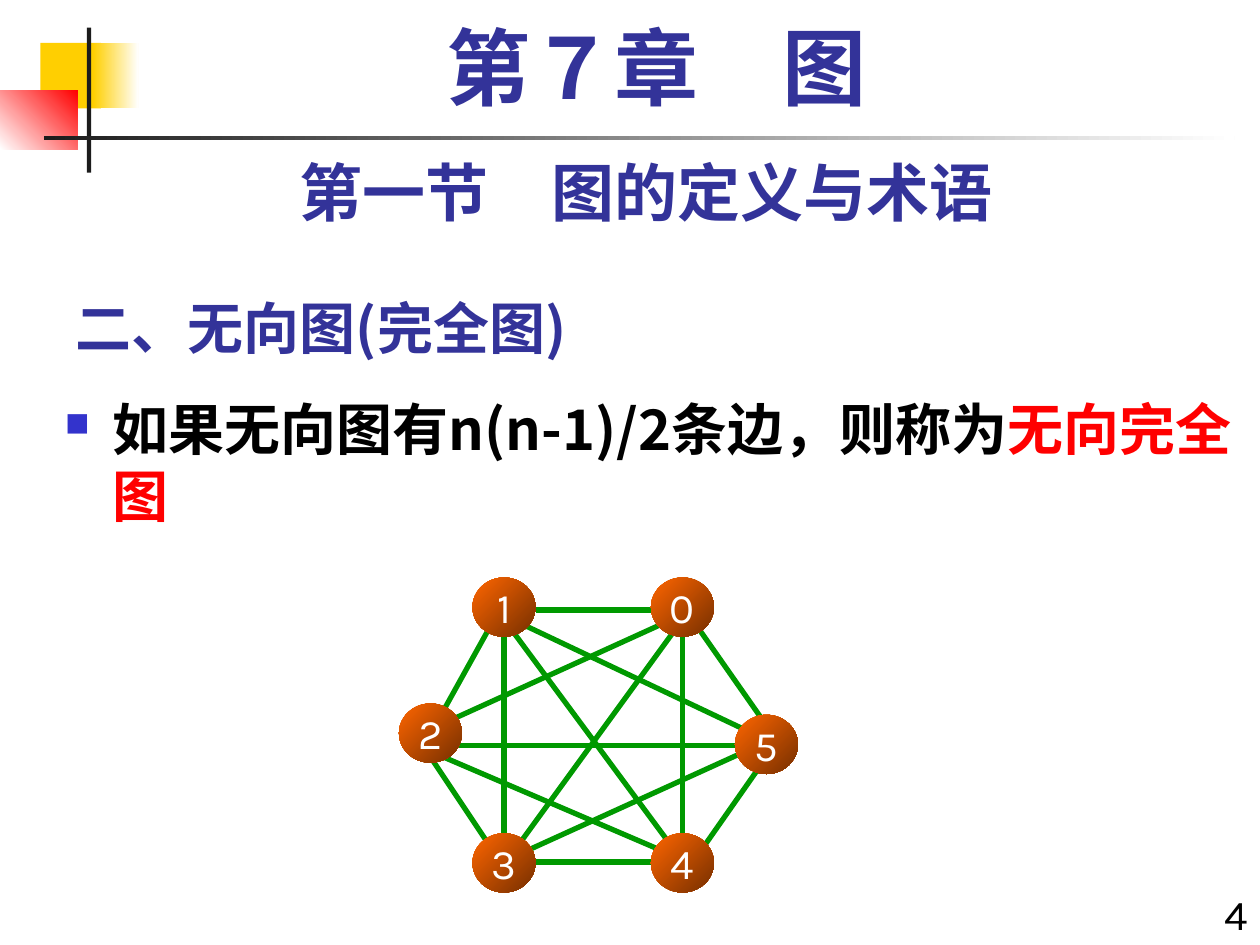
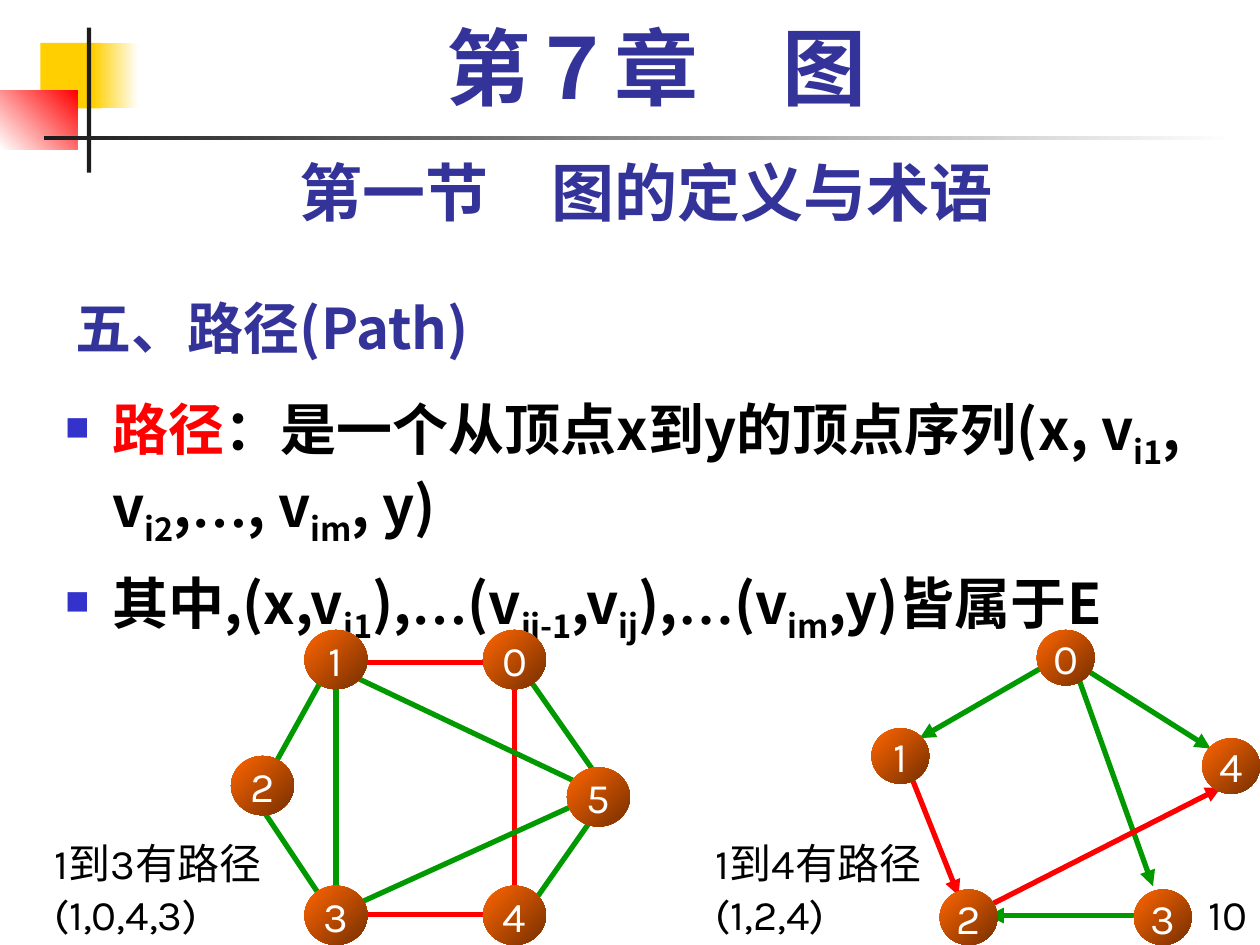
from dataclasses import dataclass

from lxml import etree
from pptx import Presentation
from pptx import util as u
from pptx.dml.color import RGBColor
from pptx.enum import shapes, text
from pptx.oxml import ns


@dataclass(frozen=True)
class Theme:
    """Colours, fonts and type sizes of the deck."""
    navy: str = "333399"
    bullet: str = "3333CC"
    ink: str = "000000"
    white: str = "FFFFFF"
    dark: str = "1C1C1C"
    yellow: str = "FFCF01"
    red: str = "FF0000"
    green: str = "009900"
    orange: str = "FF6600"
    brown: str = "762F00"
    cjk: str = "Noto Sans CJK SC"
    plain: str = "Karla"
    serif: str = "Times New Roman"
    chapter_size: int = 48
    section_size: int = 36
    body_size: int = 32
    small_size: int = 24
    edge_width: int = 3


@dataclass(frozen=True)
class Box:
    """A rectangle counted in grid cells."""
    left: float
    top: float
    width: float
    height: float

    def inner(self, left, top, width, height):
        """Return a box placed relative to this one."""
        return Box(self.left + left, self.top + top, width, height)

    def point(self, x, y):
        """Return a point of this box as slide lengths."""
        return cells(self.left + x), cells(self.top + y)

    def frame(self):
        """Return left, top, width and height as slide lengths."""
        return tuple(map(cells, (self.left, self.top, self.width, self.height)))


THEME = Theme()
COLUMNS, ROWS = 120, 90
WIDTH, HEIGHT = u.Inches(10), u.Inches(7.5)
SLIDE = Box(0, 0, COLUMNS, ROWS)

HEXAGON_SIZE = (38, 30)
HEXAGON_NODE = (6, 5.64)
HEXAGON_NODES = {"1": (7, 0), "3": (7, 24.36), "2": (0, 12),
                 "5": (32, 13.08), "4": (24, 24.36), "0": (24, 0)}
HEXAGON_EDGES = {
    "01": (25, 3.1, 13, 3.1), "04": (27, 5.1, 27, 25.1), "05": (28, 4.1, 35, 14.1),
    "12": (9, 4.1, 4, 13.1), "31": (10, 26.1, 10, 5.1), "51": (34, 15, 11, 4.1),
    "32": (9, 26.1, 3, 17.1), "43": (26, 27.1, 11, 27.1), "53": (34, 16.1, 12, 26.1),
    "54": (35, 17.1, 28, 27.1), "41": (27, 27, 10, 4), "30": (11, 26, 27, 4),
    "02": (26, 4, 4, 14), "52": (34, 16, 4, 16), "42": (25, 26, 4, 17),
}
SPARSE_EDGES = {pair: HEXAGON_EDGES[pair] for pair in
                ("01", "04", "05", "12", "31", "51", "32", "43", "53", "54")}

DIGRAPH_NODE = (5.5, 5.28)
DIGRAPH_NODES = {"1": (0, 9.36), "3": (25, 24.72), "2": (6.5, 24.72),
                 "4": (31.5, 10.32), "0": (15.75, 0)}
DIGRAPH_EDGES = {
    "04": (20.3, 3.7, 32.3, 11.3), "12": (3.8, 14, 8.3, 25.3),
    "01": (17.6, 2.8, 4.6, 10.3), "03": (19.4, 3.7, 26.8, 24.4),
    "32": (25, 27.2, 11.1, 27.2), "24": (11.1, 26.3, 33.3, 15),
}

COMPLETE_GRAPH_TEXT = [
    [("如果无向图有n(n-1)/2条边，则称为", ""), ("无向完全图", "key")],
]
PATH_TEXT = [
    [("路径", "key"), ("：是一个从顶点x到y的顶点序列(x, v", ""), ("i1", "sub"),
     (", v", ""), ("i2", "sub"), (",", ""), ("…", "dots"), (", v", ""),
     ("im", "sub"), (", y)", "")],
    [("其中,(x,v", ""), ("i1", "sub"), ("),", ""), ("…", "dots"), ("(v", ""),
     ("ij-1", "sub"), (",v", ""), ("ij", "sub"), ("),", ""), ("…", "dots"),
     ("(v", ""), ("im", "sub"), (",y)皆属于E", "")],
]


def cells(count):
    """Turn a count of grid cells into a slide length."""
    return u.Emu(round(count * WIDTH / COLUMNS))


def add_child(parent, tag, **attributes):
    """Append a drawing element to its parent."""
    return etree.SubElement(parent, ns.qn(tag), **attributes)


def style_span(span, size, color, font, bold=False, east=THEME.cjk):
    """Format one run of text."""
    span.font.size = u.Pt(size)
    span.font.bold = bold
    span.font.name = font
    span.font.color.rgb = RGBColor.from_string(color)
    add_child(span.font._element, "a:ea", typeface=east)


def fill_shape(shape, colors, angle=0):
    """Fill a shape with one colour or a two-colour gradient, without outline."""
    shape.shadow.inherit = False
    shape.line.fill.background()
    if len(colors) == 1:
        shape.fill.solid()
        shape.fill.fore_color.rgb = RGBColor.from_string(colors[0])
        return
    shape.fill.gradient()
    shape.fill.gradient_angle = angle
    for stop, color in zip(shape.fill.gradient_stops, colors):
        stop.color.rgb = RGBColor.from_string(color)


def add_caption(page, box, words, size, color, font=THEME.plain, bold=False,
                align=text.PP_ALIGN.LEFT, spacing=None):
    """Place one wrapped paragraph of text."""
    frame = page.shapes.add_textbox(*box.frame()).text_frame
    frame.word_wrap = True
    para = frame.paragraphs[0]
    para.text = words
    para.alignment = align
    para.line_spacing = spacing
    style_span(para.runs[0], size, color, font, bold)


def add_ornament(page, box):
    """Draw the coloured squares and the crossing bars at the top."""
    parts = [
        ((3.84, 4.08, 5.76, 6.24), [THEME.yellow], 0),
        ((8.88, 4.08, 4.32, 6.24), [THEME.yellow, THEME.white], 0),
        ((0, 8.6, 7.4, 5.6), [THEME.white, THEME.red], 45),
        ((8.28, 2.64, 0.4, 13.8), [THEME.dark], 0),
        ((4.2, 12.96, 113.4, 0.4), [THEME.dark, THEME.white], 0),
    ]
    for place, colors, angle in parts:
        part = page.shapes.add_shape(shapes.MSO_SHAPE.RECTANGLE,
                                     *box.inner(*place).frame())
        fill_shape(part, colors, angle)


def add_headings(page, box, title):
    """Place the chapter, section and topic headings."""
    center = text.PP_ALIGN.CENTER
    add_caption(page, box.inner(6, 14, 111, 8.4), "第一节　图的定义与术语",
                THEME.section_size, THEME.navy, bold=True, align=center)
    add_caption(page, box.inner(8, 2, 109, 10), "第７章　图", THEME.chapter_size,
                THEME.navy, THEME.serif, True, center, 0.9)
    holder = page.shapes.title
    holder.left, holder.top, holder.width, holder.height = box.inner(6, 26, 75, 9).frame()
    frame = holder.text_frame
    frame.text = title
    frame.auto_size = text.MSO_AUTO_SIZE.NONE
    frame.vertical_anchor = text.MSO_ANCHOR.BOTTOM
    para = frame.paragraphs[0]
    para.alignment = text.PP_ALIGN.LEFT
    style_span(para.runs[0], THEME.body_size, THEME.navy, THEME.cjk, True)


def add_bullet(para):
    """Give a paragraph a hanging square bullet."""
    props = para._p.get_or_add_pPr()
    hang = cells(4.5)
    props.set("marL", str(hang))
    props.set("indent", str(-hang))
    tint = add_child(props, "a:buClr")
    add_child(tint, "a:srgbClr", val=THEME.bullet)
    add_child(props, "a:buSzPct", val="60000")
    add_child(props, "a:buFont", typeface="Wingdings")
    add_child(props, "a:buChar", char="n")


def add_body(page, box, points):
    """Write the bulleted statements."""
    frame = page.shapes.add_textbox(*box.frame()).text_frame
    frame.word_wrap = True
    for index, pieces in enumerate(points):
        para = frame.add_paragraph() if index else frame.paragraphs[0]
        add_bullet(para)
        if index:
            para.space_before = u.Pt(12)
        for words, kind in pieces:
            span = para.add_run()
            span.text = words
            color = THEME.red if kind == "key" else THEME.ink
            font = THEME.serif if kind == "dots" else THEME.cjk
            style_span(span, THEME.body_size, color, font, True, font)
            if kind == "sub":
                span.font._element.set("baseline", "-25000")


def add_edge(group, box, ends, color, arrow):
    """Draw one edge, with an arrowhead at its end if asked."""
    edge = group.shapes.add_connector(shapes.MSO_CONNECTOR.STRAIGHT,
                                      *box.point(*ends[:2]), *box.point(*ends[2:]))
    edge.line.width = u.Pt(THEME.edge_width)
    edge.line.color.rgb = RGBColor.from_string(color)
    if arrow:
        add_child(edge.line._get_or_add_ln(), "a:tailEnd", type="triangle")
    add_child(edge._element.spPr, "a:effectLst")


def add_node(group, box, label):
    """Draw one numbered vertex."""
    node = group.shapes.add_shape(shapes.MSO_SHAPE.OVAL, *box.frame())
    fill_shape(node, [THEME.orange, THEME.brown], 315)
    frame = node.text_frame
    frame.text = label
    frame.word_wrap = False
    frame.margin_left = frame.margin_right = 0
    frame.vertical_anchor = text.MSO_ANCHOR.MIDDLE
    para = frame.paragraphs[0]
    para.alignment = text.PP_ALIGN.CENTER
    style_span(para.runs[0], THEME.small_size, THEME.white, THEME.plain)


def add_graph(page, box, nodes, node_size, edges, route=(), arrows=False):
    """Draw a graph, with the edges of the route in red."""
    group = page.shapes.add_group_shape()
    for pair, ends in edges.items():
        color = THEME.red if pair in route else THEME.green
        add_edge(group, box, ends, color, arrows)
    for label, corner in nodes.items():
        add_node(group, box.inner(*corner, *node_size), label)


def add_page(deck, title, points, body_height, number):
    """Start a page with everything that all pages share."""
    page = deck.slides.add_slide(deck.slide_layouts[5])
    add_ornament(page, SLIDE)
    add_headings(page, SLIDE, title)
    add_caption(page, SLIDE.inner(112, 84, 8, 6), number, THEME.small_size,
                THEME.ink, align=text.PP_ALIGN.RIGHT)
    add_body(page, SLIDE.inner(5, 37, 115, body_height), points)
    return page


def add_complete_graph_page(deck):
    """Build the page on complete undirected graphs."""
    page = add_page(deck, "二、无向图(完全图)", COMPLETE_GRAPH_TEXT, 33, "4")
    add_graph(page, SLIDE.inner(38, 55, *HEXAGON_SIZE), HEXAGON_NODES,
              HEXAGON_NODE, HEXAGON_EDGES)


def add_path_page(deck):
    """Build the page on paths in both kinds of graph."""
    page = add_page(deck, "五、路径(Path)", PATH_TEXT, 53, "10")
    add_graph(page, SLIDE.inner(83, 60, 37, 30), DIGRAPH_NODES, DIGRAPH_NODE,
              DIGRAPH_EDGES, ("12", "24"), True)
    add_graph(page, SLIDE.inner(22, 60, *HEXAGON_SIZE), HEXAGON_NODES,
              HEXAGON_NODE, SPARSE_EDGES, ("01", "04", "43"))
    for left, words in ((4, "1到3有路径(1,0,4,3)"), (67, "1到4有路径(1,2,4)")):
        add_caption(page, SLIDE.inner(left, 79.2, 24, 10.8), words,
                    THEME.small_size, THEME.ink)


def main():
    """Build and save the deck."""
    deck = Presentation()
    deck.slide_width, deck.slide_height = WIDTH, HEIGHT
    add_complete_graph_page(deck)
    add_path_page(deck)
    deck.save("out.pptx")


if __name__ == "__main__":
    main()
